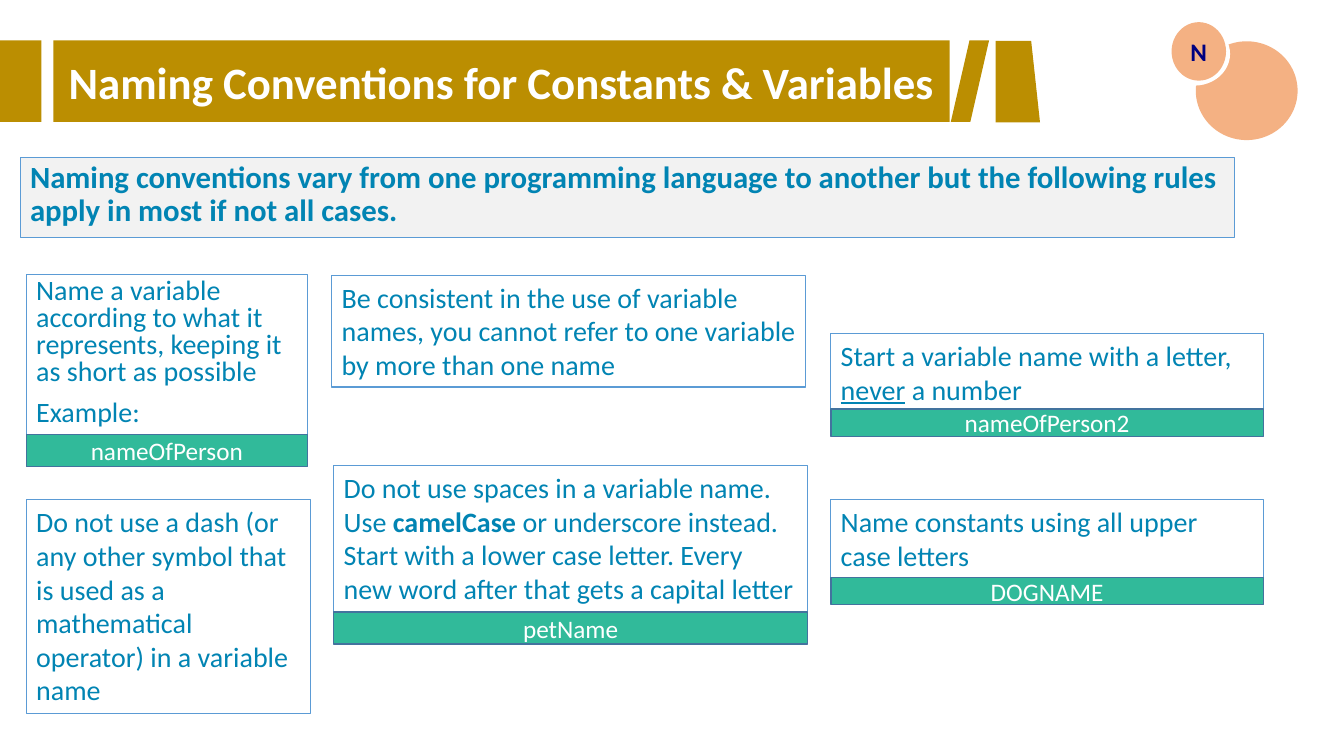
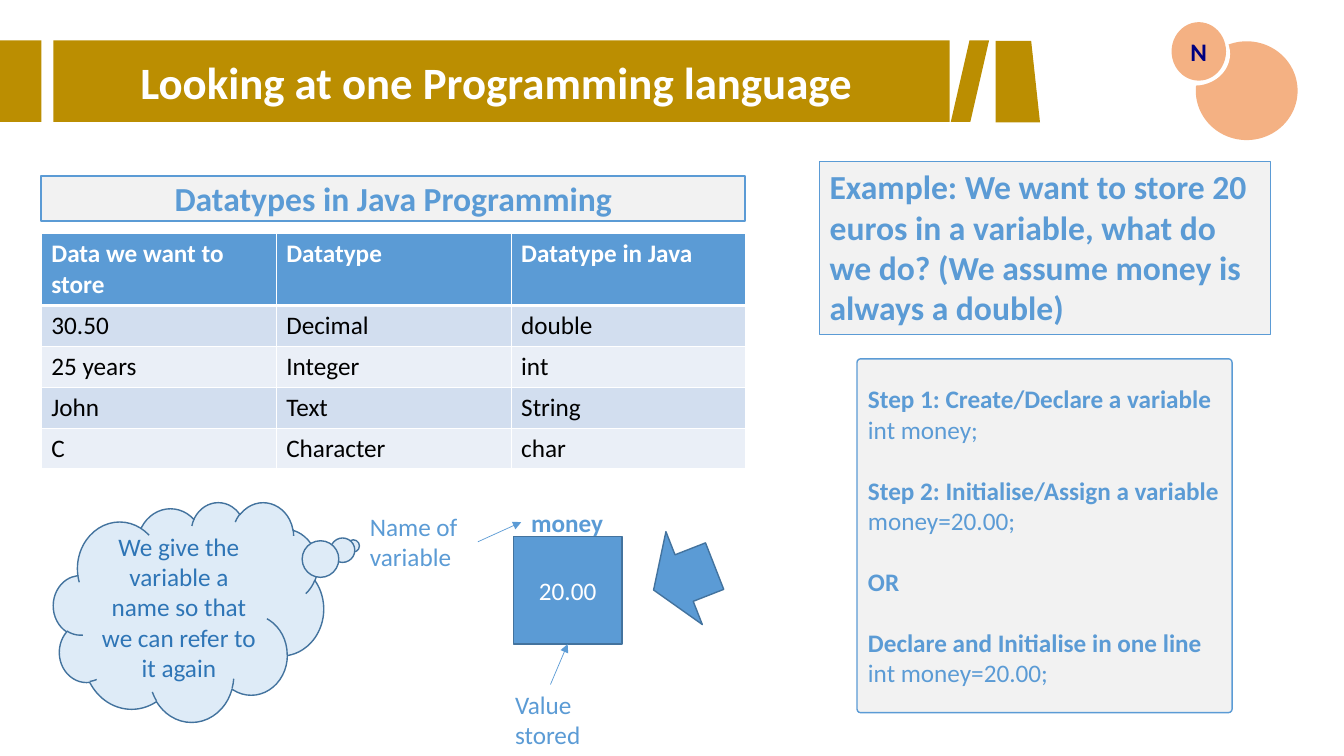
from dataclasses import dataclass

from lxml.etree import SubElement
from pptx import Presentation
from pptx.dml.color import RGBColor
from pptx.enum.shapes import MSO_CONNECTOR, MSO_SHAPE
from pptx.enum.text import MSO_ANCHOR, PP_ALIGN
from pptx.oxml import parse_xml
from pptx.oxml.ns import nsdecls, qn
from pptx.util import Pt

EMU_PER_PX = 9144


@dataclass(frozen=True)
class Theme:
    font: str = "Calibri"
    gold: str = "BB8E01"
    peach: str = "F4B183"
    navy: str = "000080"
    white: str = "FFFFFF"
    black: str = "000000"
    panel: str = "F2F2F2"
    blue: str = "5B9BD5"
    edge: str = "43739E"
    teal: str = "0184B3"
    green: str = "31BA9A"
    cloud: str = "DEEBF7"
    cloud_text: str = "2E75B6"
    bands: tuple = ("D2DEEF", "EAEFF7")
    title: int = 32
    heading: int = 24
    intro: int = 22
    rule: int = 20
    body: int = 18


T = Theme()
BOLD = {"bold": True}
MIDDLE = {"vertical_anchor": MSO_ANCHOR.MIDDLE}
CENTER = {"alignment": PP_ALIGN.CENTER}


def px(*lengths):
    return [round(n * EMU_PER_PX) for n in lengths]


def rgb(value):
    return RGBColor.from_string(value)


def apply(target, fmt):
    for name, value in fmt.items():
        setattr(target, name, value)


def write(tf, paras, size, color, para=None, frame=None, font=None):
    apply(tf, {"word_wrap": True, "vertical_anchor": MSO_ANCHOR.TOP} | (frame or {}))
    for i, runs in enumerate(paras):
        p = tf.paragraphs[0] if i == 0 else tf.add_paragraph()
        apply(p, {"alignment": PP_ALIGN.LEFT} | (para or {}))
        for run in [runs] if isinstance(runs, str) else runs:
            text, extra = (run, {}) if isinstance(run, str) else run
            r = p.add_run()
            r.text = text
            apply(r.font, {"name": T.font, "size": Pt(size)} | (font or {}) | extra)
            r.font.color.rgb = rgb(color)
    return tf


def add_shape(s, kind, box, fill=None, line=None, width=1, adj=(), rotation=0):
    sp = s.shapes.add_shape(kind, *px(*box))
    sp.shadow.inherit = False
    sp.rotation = rotation
    for i, value in enumerate(adj):
        sp.adjustments[i] = value
    if fill:
        sp.fill.solid()
        sp.fill.fore_color.rgb = rgb(fill)
    else:
        sp.fill.background()
    if line:
        sp.line.color.rgb = rgb(line)
        sp.line.width = Pt(width)
    else:
        sp.line.fill.background()
    return sp


def add_text(s, box, text, wrap=True, **fmt):
    sp = s.shapes.add_textbox(*px(*box))
    write(sp.text_frame, [text], T.body, T.blue, frame={"word_wrap": wrap}, **fmt)
    return sp


def add_arrow(s, start, end):
    c = s.shapes.add_connector(MSO_CONNECTOR.STRAIGHT, *px(*start, *end))
    c.line.color.rgb = rgb(T.blue)
    c.line.width = Pt(0.5)
    props = c.element.spPr
    SubElement(props.find(qn("a:ln")), qn("a:tailEnd"), type="triangle")
    SubElement(props, qn("a:effectLst"))
    return c


def add_label(s, box, text):
    sp = add_shape(s, MSO_SHAPE.RECTANGLE, box, T.green, T.edge)
    write(sp.text_frame, [text], T.body, T.white, CENTER, MIDDLE)


def add_card(s, box, paras, label=None, label_h=0, overlap=0, para=None):
    x, y, w, h = box
    sp = add_shape(s, MSO_SHAPE.RECTANGLE, box, line=T.blue, width=0.75)
    tf = write(sp.text_frame, paras, T.rule, T.teal, para)
    for p in tf.paragraphs[1:]:
        p.space_before = Pt(10)
    if label:
        add_label(s, (x, y + h - overlap, w, label_h), label)


def add_header(s, title):
    y, h = 40, 81
    add_shape(s, MSO_SHAPE.RECTANGLE, (0, y, 41, h), T.gold)
    sp = add_shape(s, MSO_SHAPE.RECTANGLE, (53, y, 889, h), T.gold)
    write(sp.text_frame, [title], T.title, T.white, CENTER, MIDDLE, BOLD)
    add_shape(s, MSO_SHAPE.PARALLELOGRAM, (943, y, 38, h), T.gold, adj=[0.49])
    add_shape(s, MSO_SHAPE.FLOWCHART_MANUAL_INPUT, (969, 59, h, 44), T.gold, rotation=90)
    add_shape(s, MSO_SHAPE.OVAL, (1186, 41, 101, 98), T.peach)
    add_shape(s, MSO_SHAPE.OVAL, (1149, 22, 71, 63), T.white)
    badge = add_shape(s, MSO_SHAPE.OVAL, (1162, 22, 54, 58), T.peach)
    write(badge.text_frame, ["N"], T.body, T.navy, CENTER, MIDDLE, BOLD)


def set_borders(cell, header):
    props = cell._tc.get_or_add_tcPr()
    for i, side in enumerate("LRTB"):
        width = Pt(3 if header and side == "B" else 1)
        props.insert(i, parse_xml(
            f'<a:ln{side} {nsdecls("a")} w="{width}"><a:solidFill>'
            f'<a:srgbClr val="{T.white}"/></a:solidFill></a:ln{side}>'))


def add_grid(s, x, y, col_w, head_h, row_h, rows):
    n, m = len(rows), len(rows[0])
    box = px(x, y, col_w * m, head_h + row_h * (n - 1))
    table = s.shapes.add_table(n, m, *box).table
    table.horz_banding = False
    for col in table.columns:
        col.width = px(col_w)[0]
    for i, row in enumerate(rows):
        header = i == 0
        table.rows[i].height = px(head_h if header else row_h)[0]
        for j, text in enumerate(row):
            cell = table.cell(i, j)
            cell.fill.solid()
            cell.fill.fore_color.rgb = rgb(T.blue if header else T.bands[(i - 1) % 2])
            set_borders(cell, header)
            write(cell.text_frame, [text], T.body, T.white if header else T.black,
                  font={"bold": header})


def build_naming(s):
    intro = add_shape(s, MSO_SHAPE.RECTANGLE, (20, 156, 1204, 80), T.panel, T.blue, 0.75)
    write(intro.text_frame,
          ["Naming conventions vary from one programming language to another "
           "but the following rules apply in most if not all cases."],
          T.intro, T.teal, {"line_spacing": 0.9}, font=BOLD)
    add_header(s, "Naming Conventions for Constants & Variables")
    left, middle, right = 26, 331, 824
    add_card(s, (left, 272, 279, 159),
             ["Name a variable according to what it represents, "
              "keeping it as short as possible", "Example:"],
             "nameOfPerson", 32, para={"line_spacing": 0.8})
    add_card(s, (left, 496, 282, 212),
             ["Do not use a dash (or any other symbol that is used as a "
              "mathematical operator) in a variable name"])
    add_card(s, (329, 273, 470, 111),
             ["Be consistent in the use of variable names, you cannot refer "
              "to one variable by more than one name"])
    add_card(s, (middle, 462, 470, 145),
             [["Do not use spaces in a variable name. Use ", ("camelCase ", BOLD),
               "or underscore instead. Start with a lower case letter. "
               "Every new word after that gets a capital letter"]],
             "petName", 32)
    add_card(s, (right, 331, 429, 77),
             [["Start a variable name with a letter, ", ("never", {"underline": True}),
               " a number"]], "nameOfPerson2", 27, overlap=2)
    add_card(s, (right, 496, 429, 77),
             ["Name constants using all upper case letters"], "DOGNAME", 27)


def add_steps(s):
    sp = add_shape(s, MSO_SHAPE.ROUNDED_RECTANGLE, (850, 356, 372, 351),
                   T.panel, T.blue, adj=[0.01])
    heads = ["Step 1: Create/Declare a variable", "Step 2: Initialise/Assign a variable",
             "OR", "Declare and Initialise in one line"]
    codes = ["int money;", "money=20.00;", None, "int money=20.00;"]
    paras = []
    for head, code in zip(heads, codes):
        paras += [[(head, BOLD)]] + ([code] if code else [])
    tf = write(sp.text_frame, paras, T.body, T.blue, frame=MIDDLE)
    for p in tf.paragraphs[1:]:
        if p.text in heads:
            p.space_before = Pt(22)


def add_variable_diagram(s):
    value = add_shape(s, MSO_SHAPE.RECTANGLE, (509, 532, 108, 107), T.blue, T.edge)
    write(value.text_frame, ["20.00"], T.body, T.white, CENTER, MIDDLE)
    money = add_text(s, (517, 498, 92, 40), "money", wrap=False, font=BOLD)
    name = add_text(s, (357, 502, 117, 71), "Name of variable")
    add_text(s, (501, 679, 117, 71), "Value stored")
    c = add_arrow(s, (474, 537), (517, 518))
    c.begin_connect(name, 3)
    c.end_connect(money, 1)
    add_arrow(s, (546, 679), (563, 639)).end_connect(value, 2)
    add_shape(s, MSO_SHAPE.DOWN_ARROW, (629, 541, 99, 65), T.blue, T.edge, rotation=68.6)
    cloud = add_shape(s, MSO_SHAPE.CLOUD_CALLOUT, (53, 498, 268, 218),
                      T.cloud, T.edge, adj=[0.61, -0.3])
    write(cloud.text_frame,
          ["We give the variable a name so that we can refer to it again"],
          T.body, T.cloud_text, CENTER, MIDDLE)


def build_language(s):
    add_header(s, "Looking at one Programming language ")
    example = add_shape(s, MSO_SHAPE.RECTANGLE, (813, 160, 447, 172),
                        T.panel, T.blue, 0.75)
    write(example.text_frame,
          ["Example: We want to store 20 euros in a variable, what do we do? "
           "(We assume money is always a double)"], T.heading, T.blue, font=BOLD)
    add_steps(s)
    add_grid(s, 41, 232, 233, 70, 40, [
        ("Data we want to store", "Datatype", "Datatype in Java"),
        ("30.50", "Decimal", "double"),
        ("25 years", "Integer", "int"),
        ("John", "Text", "String"),
        ("C", "Character", "char"),
    ])
    caption = add_shape(s, MSO_SHAPE.RECTANGLE, (41, 175, 698, 44), T.panel, T.blue, 1.5)
    write(caption.text_frame, ["Datatypes in Java Programming"],
          T.heading, T.blue, CENTER, MIDDLE, BOLD)
    add_variable_diagram(s)


def main():
    prs = Presentation()
    prs.slide_width, prs.slide_height = px(1333, 750)
    for build in (build_naming, build_language):
        build(prs.slides.add_slide(prs.slide_layouts[6]))
    prs.save("out.pptx")


if __name__ == "__main__":
    main()
